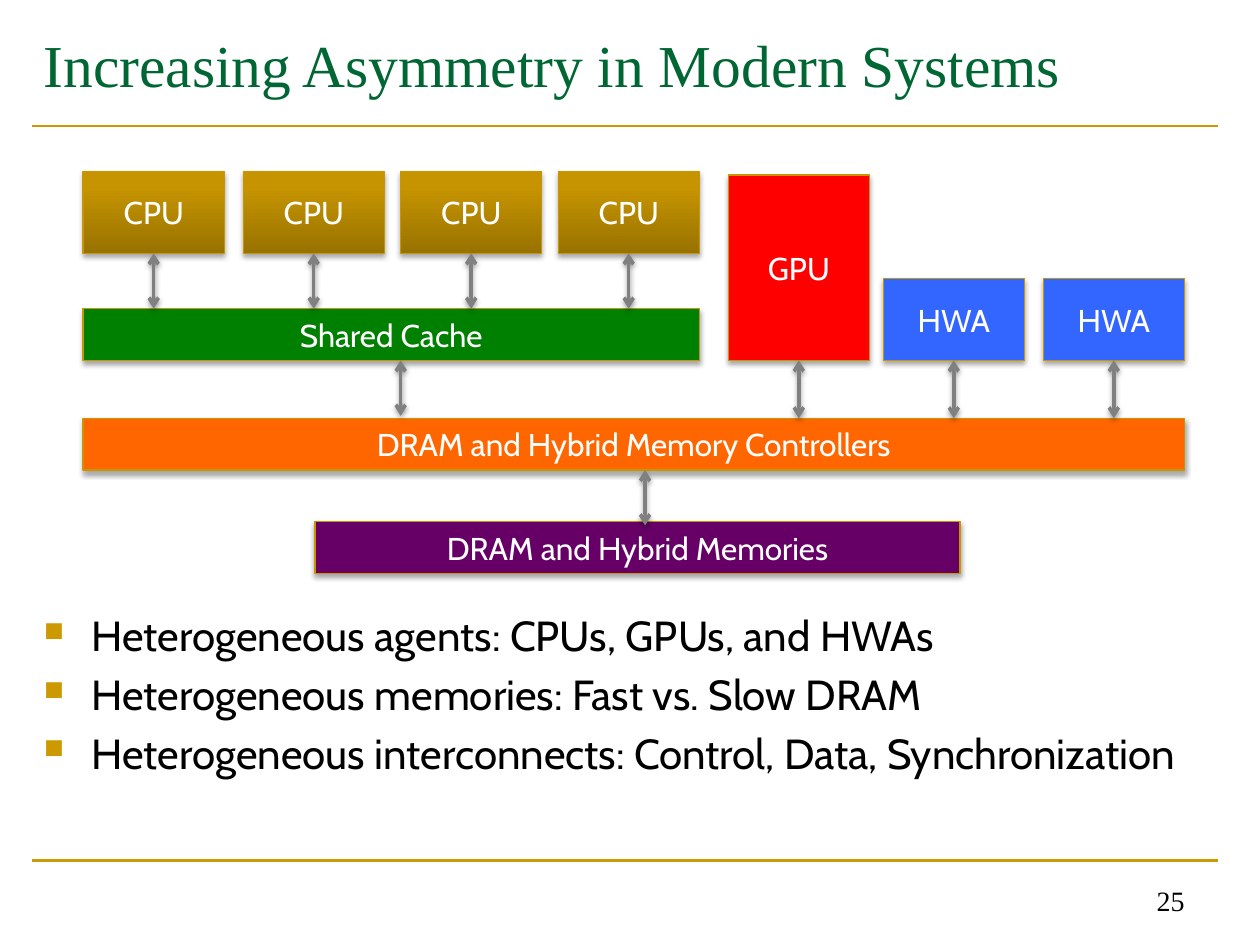
from copy import deepcopy
from dataclasses import dataclass
from typing import Optional

from lxml.etree import SubElement as Sub
from pptx import Presentation
from pptx.dml.color import RGBColor
from pptx.enum.shapes import MSO_CONNECTOR as Conn, MSO_SHAPE as Kind
from pptx.enum.text import MSO_ANCHOR as Anchor, PP_ALIGN as Align
from pptx.oxml.ns import qn
from pptx.util import Inches, Pt

COLS, ROWS = 100, 75
GOLD, EDGE, GRAY = "CC9900", "C89600", "808080"
BLEND = ((0, "987200"), (0.8, "C69400"), (1, "C79500"))
UNIT_W, UNIT_H, BAR_H, GAP = 11.2, 6.5, 4.1, 4.4
LEFT, CPU_TOP, CACHE_TOP, CTRL_TOP, MEM_TOP = 6.6, 13.6, 24.5, 33.2, 41.4
BASE = CACHE_TOP + BAR_H


@dataclass
class Block:
    """A labelled box; fill None means the gold blend, link the row its arrow ends on."""
    label: str
    col: float
    row: float
    wide: float
    high: float
    fill: Optional[str] = None
    link: Optional[float] = None


@dataclass
class Arrow:
    """A free two-way vertical arrow."""
    col: float
    row: float


BLOCKS = [
    *(Block("CPU", col, CPU_TOP, UNIT_W, UNIT_H, link=CACHE_TOP)
      for col in (LEFT, 19.3, 31.8, 44.3)),
    Block("Shared Cache", LEFT, CACHE_TOP, 48.9, BAR_H, "008000"),
    Block("GPU", 57.8, 13.9, UNIT_W, 14.7, "FF0000", CTRL_TOP),
    *(Block("HWA", col, BASE - UNIT_H, UNIT_W, UNIT_H, "3366FF", CTRL_TOP)
      for col in (70.1, 82.8)),
    Block("DRAM and Hybrid Memory Controllers", LEFT, CTRL_TOP, 87.4, BAR_H, "FF6600"),
    Block("DRAM and Hybrid Memories", 25, MEM_TOP, 51.2, BAR_H, "660066"),
]
ARROWS = [Arrow(31.8, BASE), Arrow(51.2, CTRL_TOP + BAR_H)]
POINTS = [
    "Heterogeneous agents: CPUs, GPUs, and HWAs",
    "Heterogeneous memories: Fast vs. Slow DRAM",
    "Heterogeneous interconnects: Control, Data, Synchronization",
]

deck = Presentation()
deck.slide_width, deck.slide_height = Inches(10), Inches(7.5)
slide = deck.slides.add_slide(deck.slide_layouts[6])
shapes = slide.shapes


def across(cols: float) -> int:
    """Turn grid columns into a length."""
    return round(deck.slide_width * cols / COLS)


def down(rows: float) -> int:
    """Turn grid rows into a length."""
    return round(deck.slide_height * rows / ROWS)


def area(col: float, row: float, wide: float, high: float) -> tuple:
    """Turn a grid area into left, top, width and height."""
    return across(col), down(row), across(wide), down(high)


def paint(part, tint: str) -> None:
    """Give a fill one solid colour."""
    part.solid()
    part.fore_color.rgb = RGBColor.from_string(tint)


def shade(shape, alpha: int = 0, dist: float = 0) -> None:
    """Set a soft shadow below a shape, or none when alpha is zero."""
    props = shape._element.spPr
    for old in props.findall(qn("a:effectLst")):
        props.remove(old)
    effect = Sub(props, qn("a:effectLst"))
    if alpha:
        cast = Sub(effect, qn("a:outerShdw"), blurRad=str(Pt(3.1)), dist=str(Pt(dist)),
                   dir="5400000", rotWithShape="0")
        tint = Sub(cast, qn("a:srgbClr"), val="000000")
        Sub(tint, qn("a:alpha"), val=str(alpha * 1000))


def blend(shape) -> None:
    """Fill a shape with the gold blend, dark at the bottom."""
    shape.fill.gradient()
    shape.fill.gradient_angle = 90
    stops = shape._element.spPr.find(".//" + qn("a:gsLst"))
    stops.append(deepcopy(stops[-1]))
    for stop, (place, tint) in zip(shape.fill.gradient_stops, BLEND):
        stop.position = place
        stop.color.rgb = RGBColor.from_string(tint)


def bullet(para) -> None:
    """Give a paragraph a hanging gold square."""
    props = para._p.get_or_add_pPr()
    props.set("marL", str(Inches(0.38)))
    props.set("indent", str(-Inches(0.38)))
    Sub(Sub(props, qn("a:buClr")), qn("a:srgbClr"), val=GOLD)
    Sub(props, qn("a:buSzPct"), val="65000")
    Sub(props, qn("a:buChar"), char="■")


def write(shape, *lines: str, size: int, tint: str, font: str = "Cabin",
          align=Align.LEFT, anchor=Anchor.TOP, dots: bool = False) -> None:
    """Write lines into a shape, one paragraph each."""
    frame = shape.text_frame
    frame.word_wrap = True
    frame.vertical_anchor = anchor
    for num, line in enumerate(lines):
        para = frame.add_paragraph() if num else frame.paragraphs[0]
        para.alignment = align
        if num:
            para.space_before = Pt(size * 0.2)
        if dots:
            bullet(para)
        run = para.add_run()
        run.text = line
        run.font.size, run.font.name = Pt(size), font
        run.font.color.rgb = RGBColor.from_string(tint)


def stroke(start: tuple, end: tuple, tint: str, width: float):
    """Draw a straight line between two grid points."""
    line = shapes.add_connector(Conn.STRAIGHT, across(start[0]), down(start[1]),
                                across(end[0]), down(end[1]))
    paint(line.line.fill, tint)
    line.line.width = Pt(width)
    shade(line)
    return line


def draw_arrow(arrow: Arrow, high: float = GAP):
    """Draw a two-way arrow with a shadow."""
    line = stroke((arrow.col, arrow.row), (arrow.col, arrow.row + high), GRAY, 2)
    edge = line.line._get_or_add_ln()
    for end in ("a:headEnd", "a:tailEnd"):
        Sub(edge, qn(end), type="arrow")
    shade(line, 38, 1.6)
    return line


def draw_block(block: Block):
    """Draw a labelled box."""
    shape = shapes.add_shape(Kind.RECTANGLE,
                             *area(block.col, block.row, block.wide, block.high))
    if block.fill:
        paint(shape.fill, block.fill)
    else:
        blend(shape)
    paint(shape.line.fill, EDGE)
    shape.line.width = Pt(0.75)
    shade(shape, 35, 1.8)
    write(shape, block.label, size=18, tint="FFFFFF", align=Align.CENTER,
          anchor=Anchor.MIDDLE)
    return shape


def main() -> None:
    """Build the slide and save it."""
    for row in (68.3, 10):
        stroke((2.5, row), (96.7, row), GOLD, 1.5)
    write(shapes.add_textbox(*area(2.5, 1.7, 97.5, 11.7)),
          "Increasing Asymmetry in Modern Systems",
          size=34, tint="006633", font="Times New Roman")
    write(shapes.add_textbox(*area(2.5, 47.9, 97.5, 10.8)), *POINTS,
          size=24, tint="000000", dots=True)
    write(shapes.add_textbox(*area(71.7, 68.3, 23.3, 5)), "25", size=16, tint="000000",
          font="Times New Roman", align=Align.RIGHT, anchor=Anchor.BOTTOM)
    boxes = [(block, draw_block(block)) for block in BLOCKS]
    for block, shape in boxes:
        if block.link:
            foot = block.row + block.high
            line = draw_arrow(Arrow(block.col + block.wide / 2, foot), block.link - foot)
            line.begin_connect(shape, 2)
    for arrow in ARROWS:
        draw_arrow(arrow)
    deck.save("out.pptx")


if __name__ == "__main__":
    main()
